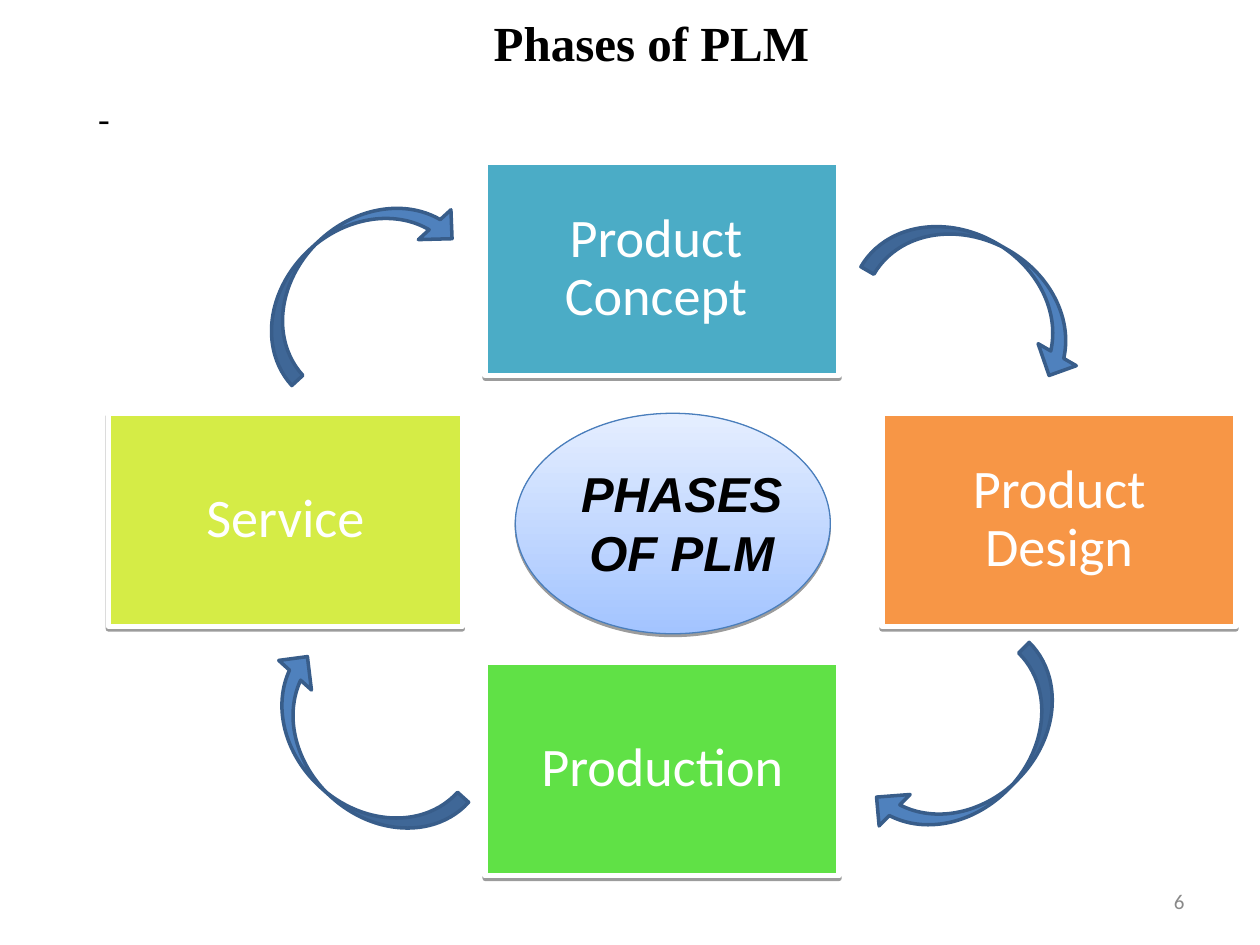
"""Build the cycle slide showing the phases of PLM."""
from dataclasses import dataclass
from typing import Any, NamedTuple

from lxml.etree import SubElement
from pptx import Presentation
from pptx.dml.color import RGBColor
from pptx.enum.shapes import MSO_SHAPE
from pptx.enum.text import MSO_ANCHOR, PP_ALIGN
from pptx.oxml.ns import qn
from pptx.util import Inches, Pt


@dataclass(frozen=True)
class Theme:
    black: str = "000000"
    white: str = "FFFFFF"
    grey: str = "898989"
    blue: str = "4F81BD"
    navy: str = "385D8A"
    rim: str = "4A7EBB"
    deep: str = "A3C4FF"
    pale: str = "E5EEFF"
    serif: str = "Times New Roman"
    sans: str = "Arial"
    body: str = "Calibri"
    head: int = 28
    phase: int = 31
    mark: int = 20
    page: int = 12


class Box(NamedTuple):
    left: float
    top: float
    width: float
    height: float


class Phase(NamedTuple):
    name: str
    left: float
    top: float
    color: str
    shift: float = 0


class Arrow(NamedTuple):
    left: float
    top: float
    turn: float


class Label(NamedTuple):
    text: str
    box: Box
    font: dict[str, Any]
    color: str
    align: PP_ALIGN
    anchor: MSO_ANCHOR = MSO_ANCHOR.TOP


THEME = Theme()
CARD = (2.81, 1.69)
BEND = (1.9, 0.7)
PHASES = [
    Phase("Product Concept", 3.85, 1.29, "4BACC6", 0.1),
    Phase("Product Design", 7, 3.28, "F79646"),
    Phase("Production", 3.85, 5.26, "60E146"),
    Phase("Service", 0.86, 3.28, "D5EC46"),
]
ARROWS = [
    Arrow(6.88, 1.94, 30),
    Arrow(1.83, 1.81, 317.5),
    Arrow(1.83, 5.64, 222.1),
    Arrow(6.8, 5.67, 134.6),
]
LABELS = [
    Label("Phases of PLM", Box(0.67, 0, 9, 0.67),
          {"name": THEME.serif, "size": Pt(THEME.head), "bold": True},
          THEME.black, PP_ALIGN.CENTER, MSO_ANCHOR.MIDDLE),
    Label("-", Box(0.68, 0.72, 9, 0.5),
          {"name": THEME.serif, "size": Pt(THEME.mark)},
          THEME.black, PP_ALIGN.LEFT),
    Label("6", Box(7.17, 6.95, 2.33, 0.4),
          {"name": THEME.body, "size": Pt(THEME.page)},
          THEME.grey, PP_ALIGN.RIGHT, MSO_ANCHOR.MIDDLE),
    Label("PHASES OF PLM", Box(4.45, 3.63, 1.92, 1.04),
          {"name": THEME.sans, "size": Pt(THEME.head), "bold": True, "italic": True},
          THEME.black, PP_ALIGN.CENTER),
]


def rgb(code: str) -> RGBColor:
    return RGBColor.from_string(code)


def apply(item: Any, values: dict[str, Any]) -> None:
    for key, value in values.items():
        setattr(item, key, value)


def write(frame: Any, text: str, font: dict[str, Any], color: str,
          align: PP_ALIGN, anchor: MSO_ANCHOR) -> None:
    apply(frame, {"word_wrap": True, "vertical_anchor": anchor})
    para = frame.paragraphs[0]
    para.alignment = align
    run = para.add_run()
    run.text = text
    apply(run.font, font)
    run.font.color.rgb = rgb(color)


def shade(shape: Any) -> None:
    shape.shadow.inherit = False
    group = shape._element.spPr.find(qn("a:effectLst"))
    drop = SubElement(group, qn("a:outerShdw"), blurRad="0", dist=str(Pt(1.6)),
                      dir="5400000", rotWithShape="0")
    tint = SubElement(drop, qn("a:srgbClr"), val=THEME.black)
    SubElement(tint, qn("a:alpha"), val="38000")


def draw(slide: Any, kind: MSO_SHAPE, box: Box, line: str, width: float) -> Any:
    shape = slide.shapes.add_shape(kind, *map(Inches, box))
    shape.shadow.inherit = False
    shape.line.color.rgb = rgb(line)
    shape.line.width = Pt(width)
    return shape


def add_label(slide: Any, label: Label) -> None:
    shape = slide.shapes.add_textbox(*map(Inches, label.box))
    write(shape.text_frame, label.text, label.font, label.color,
          label.align, label.anchor)


def add_oval(slide: Any) -> None:
    oval = draw(slide, MSO_SHAPE.OVAL, Box(4.09, 3.28, 2.5, 1.75), THEME.rim, 0.75)
    oval.fill.gradient()
    oval.fill.gradient_angle = 90
    for stop, color in zip(oval.fill.gradient_stops, (THEME.deep, THEME.pale)):
        stop.color.rgb = rgb(color)
    shade(oval)


def add_phase(slide: Any, phase: Phase) -> None:
    card = draw(slide, MSO_SHAPE.RECTANGLE, Box(phase.left, phase.top, *CARD),
                THEME.white, 3)
    card.fill.solid()
    card.fill.fore_color.rgb = rgb(phase.color)
    shade(card)
    frame = card.text_frame
    pad = Inches(0.13)
    apply(frame, {"margin_left": pad, "margin_top": pad, "margin_bottom": pad,
                  "margin_right": pad + Inches(phase.shift)})
    write(frame, phase.name, {"name": THEME.body, "size": Pt(THEME.phase)},
          THEME.white, PP_ALIGN.CENTER, MSO_ANCHOR.MIDDLE)
    apply(frame.paragraphs[0], {"line_spacing": 0.9, "space_after": Pt(13.5)})


def add_arrow(slide: Any, arrow: Arrow) -> None:
    shape = draw(slide, MSO_SHAPE.CURVED_DOWN_ARROW,
                 Box(arrow.left, arrow.top, *BEND), THEME.navy, 2)
    shape.fill.solid()
    shape.fill.fore_color.rgb = rgb(THEME.blue)
    shape.rotation = arrow.turn
    shape.adjustments[0] = 0.17


def main() -> None:
    deck = Presentation()
    apply(deck, {"slide_width": Inches(10), "slide_height": Inches(7.5)})
    slide = deck.slides.add_slide(deck.slide_layouts[6])
    add_oval(slide)
    for phase in PHASES:
        add_phase(slide, phase)
    for label in LABELS:
        add_label(slide, label)
    for arrow in ARROWS:
        add_arrow(slide, arrow)
    deck.save("out.pptx")


if __name__ == "__main__":
    main()
